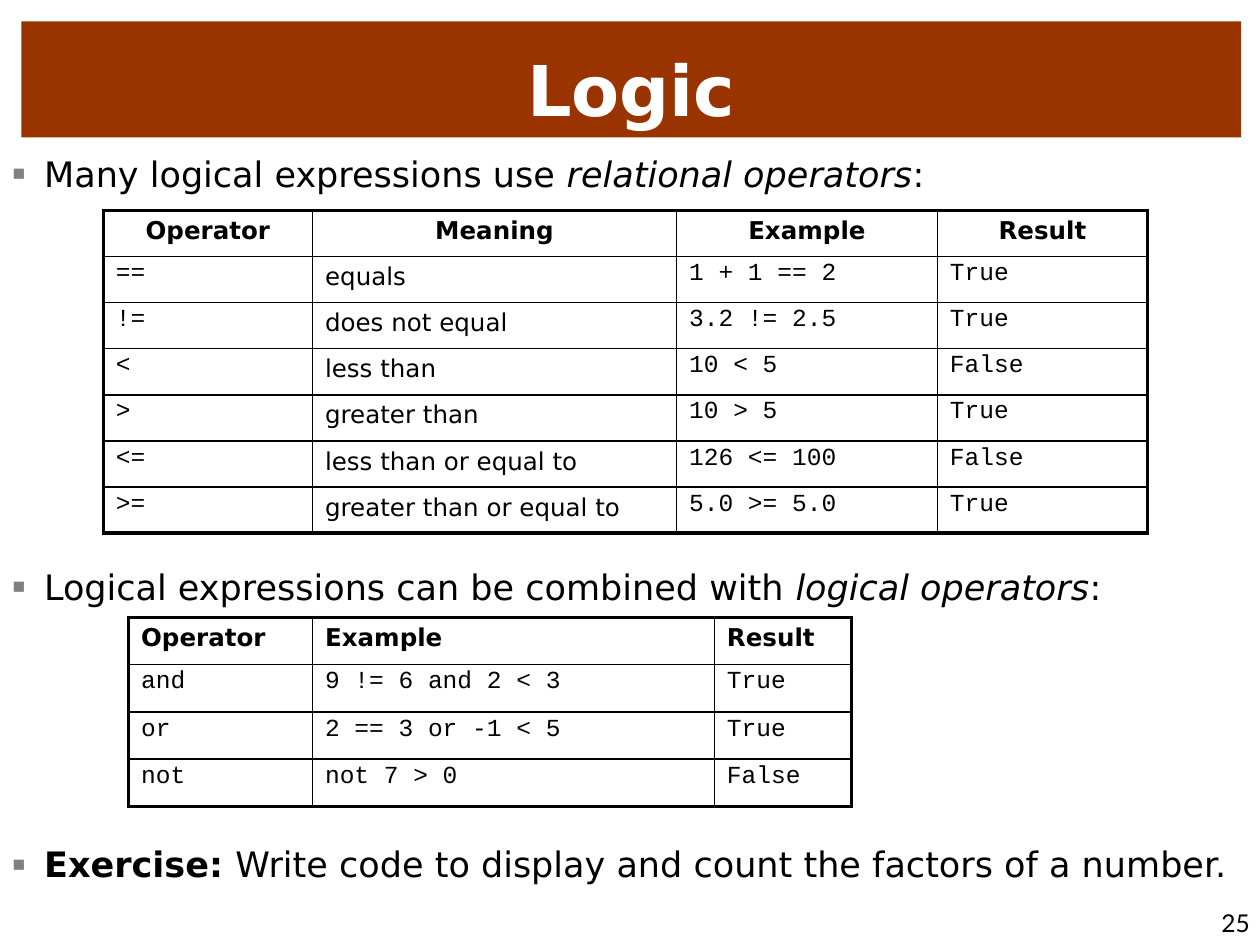
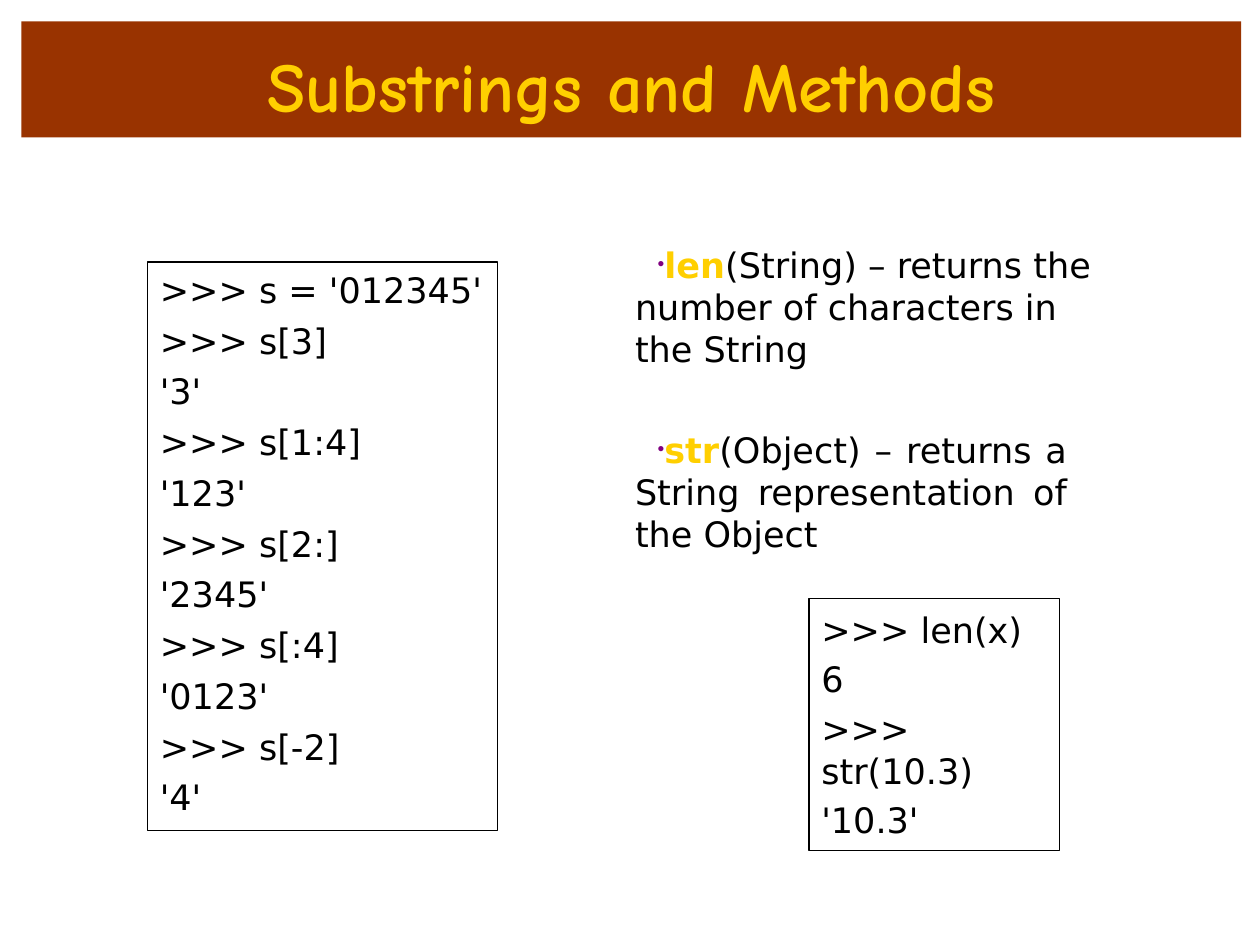
from lxml.etree import SubElement
from pptx import Presentation
from pptx.dml.color import RGBColor
from pptx.enum.shapes import MSO_SHAPE as Shape
from pptx.enum.text import MSO_ANCHOR as Anchor, MSO_AUTO_SIZE as AutoSize, PP_ALIGN as Align
from pptx.oxml.ns import qn
from pptx.util import Inches, Pt

COLOURS = {"band": "993300", "white": "FFFFFF", "black": "000000",
           "gold": "FFCF00", "grey": "808080", "purple": "800080"}
SANS, MONO, COMIC, PAGE = "DejaVu Sans", "Courier New", "Comic Neue", "Lato"
COLUMNS, ROWS = 100, 75
TITLE_LAYOUTS = {"comparison": 4, "two content": 3}


def colour(name):
    """Return the palette colour of that name."""
    return RGBColor.from_string(COLOURS[name])


def write(paragraph, text, size=20, font=SANS, ink="black", bold=False, italic=False):
    """Add one formatted run to a paragraph."""
    run = paragraph.add_run()
    run.text = text
    run.font.size, run.font.name = Pt(size), font
    run.font.bold, run.font.italic = bold, italic
    run.font.color.rgb = colour(ink)


def add_bullet(paragraph, symbol, ink, percent, margin, indent):
    """Give a paragraph a coloured bullet; margin and indent in inches."""
    properties = paragraph._p.get_or_add_pPr()
    properties.set("marL", str(Inches(margin)))
    properties.set("indent", str(Inches(indent)))
    SubElement(SubElement(properties, qn("a:buClr")), qn("a:srgbClr"), val=COLOURS[ink])
    SubElement(properties, qn("a:buSzPct"), val=str(percent * 1000))
    SubElement(properties, qn("a:buChar"), char=symbol)


def add_border(cell, side, points):
    """Draw one side of a table cell."""
    line = SubElement(cell._tc.get_or_add_tcPr(), qn(f"a:ln{side}"), w=str(Pt(points)))
    SubElement(SubElement(line, qn("a:solidFill")), qn("a:srgbClr"), val=COLOURS["black"])


class Deck:
    """Hold the shared style and the current slide."""

    def __init__(self):
        """Start an empty 4:3 deck."""
        self.show = Presentation()
        self.show.slide_width, self.show.slide_height = Inches(10), Inches(7.5)
        self.slide, self.bodies = None, []

    def area(self, left, top, width, height):
        """Turn grid columns and rows into lengths."""
        column, row = self.show.slide_width / COLUMNS, self.show.slide_height / ROWS
        return [round(n * unit) for n, unit in
                zip((left, top, width, height), (column, row, column, row))]

    def frame(self, shape, left=0.0, top=0.0):
        """Prepare a shape's text frame with inset in inches."""
        frame = shape.text_frame
        frame.auto_size, frame.word_wrap = AutoSize.NONE, True
        frame.vertical_anchor = Anchor.TOP
        frame.margin_left, frame.margin_top = Inches(left), Inches(top)
        frame.margin_right = frame.margin_bottom = 0
        return frame

    def move(self, shape, area):
        """Place a shape on the grid."""
        shape.left, shape.top, shape.width, shape.height = self.area(*area)

    def start(self, layout, heading, inset, **style):
        """Add a slide with its title band."""
        chosen = self.show.slide_layouts[TITLE_LAYOUTS[layout]]
        self.slide = self.show.slides.add_slide(chosen)
        title, *self.bodies = self.slide.placeholders
        self.move(title, (1.7, 1.7, 96.8, 9.2))
        title.fill.solid()
        title.fill.fore_color.rgb = colour("band")
        paragraph = self.frame(title, top=inset).paragraphs[0]
        paragraph.alignment = Align.CENTER
        write(paragraph, heading, size=40, bold=True, **style)

    def point(self, area, runs, align=Align.LEFT, **bullet):
        """Put one bulleted statement in the next body placeholder."""
        body = self.bodies.pop(0)
        self.move(body, area)
        paragraph = self.frame(body, top=0.01).paragraphs[0]
        paragraph.alignment, paragraph.space_before = align, Pt(0)
        add_bullet(paragraph, **bullet)
        for text, style in runs:
            write(paragraph, text, **style)

    def console(self, area, lines, inset, gap):
        """Draw an outlined box of interpreter lines."""
        box = self.slide.shapes.add_shape(Shape.RECTANGLE, *self.area(*area))
        box.shadow.inherit = False
        box.fill.background()
        box.line.color.rgb, box.line.width = colour("black"), Pt(0.75)
        frame = self.frame(box, left=0.1, top=inset)
        for number, line in enumerate(lines):
            paragraph = frame.add_paragraph() if number else frame.paragraphs[0]
            paragraph.alignment = Align.LEFT
            paragraph.space_before = Pt(gap if number else 0)
            write(paragraph, line)

    def table(self, left, top, widths, height, records, prose=(), header=Align.LEFT):
        """Draw a table with a heavy frame; prose columns use the sans font."""
        area = self.area(left, top, sum(widths), height * len(records))
        grid = self.slide.shapes.add_table(len(records), len(widths), *area).table
        grid.first_row = grid.horz_banding = False
        for column, width in zip(grid.columns, widths):
            column.width = self.area(0, 0, width, 0)[2]
        last_row, last_column = len(records) - 1, len(widths) - 1
        for r, record in enumerate(records):
            for c, text in enumerate(record):
                cell = grid.cell(r, c)
                edges = {"L": c == 0, "R": c == last_column, "T": r == 0, "B": r == last_row}
                for side, outer in edges.items():
                    add_border(cell, side, 2.25 if outer else 1)
                cell.fill.background()
                sans, centred = r == 0 or c in prose, r == 0 and header == Align.CENTER
                cell.margin_left = 0 if centred else Inches(0.1)
                cell.margin_top = Inches(0.05 if sans else 0.03)
                cell.margin_right = cell.margin_bottom = 0
                paragraph = cell.text_frame.paragraphs[0]
                paragraph.alignment = header if r == 0 else Align.LEFT
                write(paragraph, text, size=14, font=SANS if sans else MONO, bold=r == 0)

    def page_number(self, number):
        """Write the page number at the lower right."""
        box = self.slide.shapes.add_textbox(*self.area(89.2, 72.1, 10, 2.5))
        paragraph = self.frame(box).paragraphs[0]
        paragraph.alignment = Align.RIGHT
        write(paragraph, number, size=14, font=PAGE)

    def finish(self):
        """Remove the body placeholders left empty."""
        for body in self.bodies:
            body._element.getparent().remove(body._element)


def logic(deck):
    """Build the slide on relational and logical operators."""
    square = dict(symbol="■", ink="grey", percent=60, margin=0.27, indent=-0.25)
    deck.start("comparison", "Logic", 0.2, ink="white")
    statements = [
        (12, [("Many logical expressions use ", {}),
              ("relational operators", {"italic": True}), (":", {})]),
        (44.8, [("Logical expressions can be combined with ", {}),
                ("logical operators", {"italic": True}), (":", {})]),
        (66.8, [("Exercise: ", {"bold": True}),
                ("Write code to display and count the factors of a number.", {})]),
    ]
    for top, runs in statements:
        deck.point((0.8, top, 98.6, 3.6), runs, **square)
    deck.table(8.2, 16.7, (16.6, 28.9, 20.7, 16.7), 3.66, [
        ("Operator", "Meaning", "Example", "Result"),
        ("==", "equals", "1 + 1 == 2", "True"),
        ("!=", "does not equal", "3.2 != 2.5", "True"),
        ("<", "less than", "10 < 5", "False"),
        (">", "greater than", "10 > 5", "True"),
        ("<=", "less than or equal to", "126 <= 100", "False"),
        (">=", "greater than or equal to", "5.0 >= 5.0", "True"),
    ], prose=(1,), header=Align.CENTER)
    deck.table(10.2, 49, (14.6, 31.9, 10.9), 3.75, [
        ("Operator", "Example", "Result"),
        ("and", "9 != 6 and 2 < 3", "True"),
        ("or", "2 == 3 or -1 < 5", "True"),
        ("not", "not 7 > 0", "False"),
    ])
    deck.page_number("25")
    deck.finish()


def substrings(deck):
    """Build the slide on slicing and string functions."""
    dot = dict(symbol="•", ink="purple", percent=55, margin=0.01, indent=0.18)
    keyword = dict(ink="gold", bold=True)
    deck.start("two content", "Substrings and Methods", 0.17, font=COMIC, ink="gold")
    deck.console((11.7, 20.8, 27.8, 45.1), [
        ">>> s = '012345'", ">>> s[3]", "'3'", ">>> s[1:4]", "'123'", ">>> s[2:]",
        "'2345'", ">>> s[:4]", "'0123'", ">>> s[-2]", "'4'"], inset=0.05, gap=5)
    deck.point((50.3, 19.2, 37.1, 10.3), [
        ("len", keyword),
        ("(String) – returns the number of characters in the String", {})], **dot)
    deck.point((50.3, 33.9, 34.4, 10.3), [
        ("str", keyword),
        ("(Object) – returns a String representation of the Object", {})],
        align=Align.JUSTIFY, **dot)
    deck.console((64.2, 47.5, 19.9, 20), [
        ">>> len(x)", "6", ">>> str(10.3)", "'10.3'"], inset=0.08, gap=4.2)
    deck.finish()


def main():
    """Build and save the deck."""
    deck = Deck()
    logic(deck)
    substrings(deck)
    deck.show.save("out.pptx")


if __name__ == "__main__":
    main()
